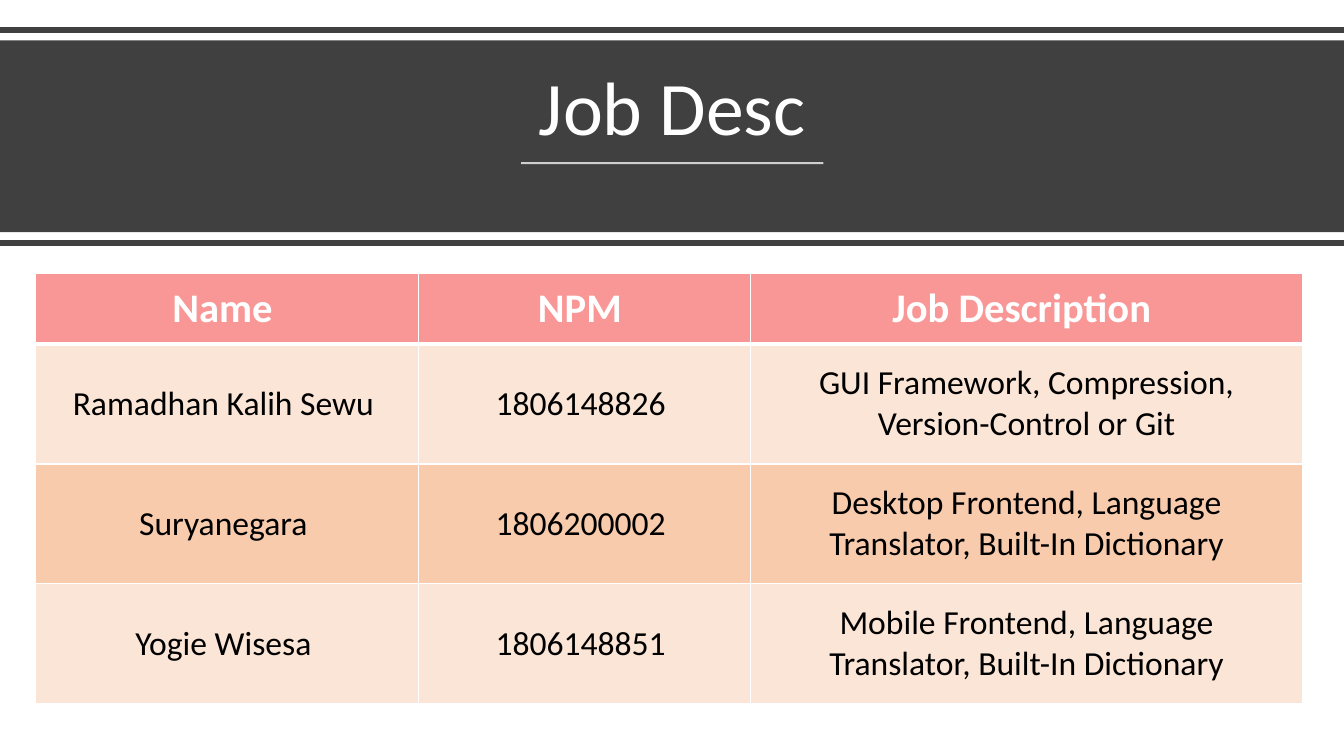
from lxml import etree
from pptx import Presentation
from pptx.dml.color import RGBColor
from pptx.enum.shapes import MSO_CONNECTOR, MSO_SHAPE
from pptx.enum.text import MSO_ANCHOR, MSO_AUTO_SIZE, PP_ALIGN
from pptx.oxml.ns import qn
from pptx.util import Cm, Pt

STRAIGHT = MSO_CONNECTOR.STRAIGHT
RECTANGLE = MSO_SHAPE.RECTANGLE
MIDDLE, BOTTOM = MSO_ANCHOR.MIDDLE, MSO_ANCHOR.BOTTOM
CENTER = PP_ALIGN.CENTER
NO_AUTOFIT = MSO_AUTO_SIZE.NONE
TITLE_ONLY = 5

WIDTH, HEIGHT = 33.87, 19.05
FONT = "Calibri"
WHITE, BLACK, CHARCOAL = "FFFFFF", "000000", "404040"
HEADER_FILL = "F99796"
BAND_FILLS = ("FBE5D6", "F8CBAD")

COLUMN_WIDTHS = (9.65, 8.36, 13.92)
HEADER_HEIGHT, MEMBER_HEIGHT = 1.78, 3.02
JOBS = (
    ("Name ", "NPM ", "Job Description "),
    ("Ramadhan Kalih Sewu ", "1806148826 ",
     "GUI Framework, Compression, Version-Control or Git"),
    ("Suryanegara ", "1806200002 ",
     "Desktop Frontend, Language Translator, Built-In Dictionary"),
    ("Yogie Wisesa ", "1806148851 ",
     "Mobile Frontend, Language Translator, Built-In Dictionary"),
)


def color(value):
    return RGBColor.from_string(value)


class JobSlide:
    def __init__(self, presentation):
        layout = presentation.slide_layouts[TITLE_ONLY]
        self.slide = presentation.slides.add_slide(layout)
        self.shapes = self.slide.shapes

    def set_text(self, frame, text, size, text_color, bold=False):
        frame.text = text
        paragraph = frame.paragraphs[0]
        paragraph.alignment = CENTER
        font = paragraph.runs[0].font
        font.name, font.size, font.bold = FONT, Pt(size), bold
        font.color.rgb = color(text_color)
        return paragraph

    def rule(self, left, right, top, line_color, width, opacity=100):
        rule = self.shapes.add_connector(
            STRAIGHT, Cm(left), Cm(top), Cm(right), Cm(top))
        rule.line.color.rgb = color(line_color)
        rule.line.width = Pt(width)
        properties = rule._element.spPr
        if opacity < 100:
            tint = properties.find(".//" + qn("a:srgbClr"))
            etree.SubElement(tint, qn("a:alpha"), val=str(opacity * 1000))
        etree.SubElement(properties, qn("a:effectLst"))

    def band(self, top, height, fill):
        band = self.shapes.add_shape(
            RECTANGLE, 0, Cm(top), Cm(WIDTH), Cm(height))
        band.shadow.inherit = False
        band.fill.solid()
        band.fill.fore_color.rgb = color(fill)
        band.line.fill.background()

    def title(self, text, left, top, width, height):
        title = self.shapes.title
        title.left, title.top = Cm(left), Cm(top)
        title.width, title.height = Cm(width), Cm(height)
        frame = title.text_frame
        frame.auto_size = NO_AUTOFIT
        frame.word_wrap = True
        frame.vertical_anchor = BOTTOM
        self.set_text(frame, text, 54, WHITE).line_spacing = 0.9
        self.shapes._spTree.append(title._element)

    def borders(self, cell, bottom):
        properties = cell._tc.get_or_add_tcPr()
        sides = (("a:lnL", 1), ("a:lnR", 1), ("a:lnT", 1), ("a:lnB", bottom))
        for position, (side, width) in enumerate(sides):
            border = etree.Element(qn(side), w=str(Pt(width)))
            fill = etree.SubElement(border, qn("a:solidFill"))
            etree.SubElement(fill, qn("a:srgbClr"), val=WHITE)
            properties.insert(position, border)

    def cell(self, cell, text, fill, size, text_color, is_header):
        cell.fill.solid()
        cell.fill.fore_color.rgb = color(fill)
        cell.vertical_anchor = MIDDLE
        cell.margin_left = cell.margin_right = Cm(0.38)
        cell.margin_top = cell.margin_bottom = Cm(0.19)
        self.set_text(cell.text_frame, text, size, text_color, is_header)
        self.borders(cell, 3 if is_header else 1)

    def table(self, rows, left, top):
        heights = [HEADER_HEIGHT] + [MEMBER_HEIGHT] * (len(rows) - 1)
        table = self.shapes.add_table(
            len(rows), len(COLUMN_WIDTHS), Cm(left), Cm(top),
            Cm(sum(COLUMN_WIDTHS)), Cm(sum(heights))).table
        for column, width in zip(table.columns, COLUMN_WIDTHS):
            column.width = Cm(width)
        for index, (texts, height) in enumerate(zip(rows, heights)):
            table.rows[index].height = Cm(height)
            is_header = index == 0
            if is_header:
                style = (HEADER_FILL, 29, WHITE, True)
            else:
                style = (BAND_FILLS[(index - 1) % 2], 24, BLACK, False)
            for position, text in enumerate(texts):
                self.cell(table.cell(index, position), text, *style)


def main():
    presentation = Presentation()
    presentation.slide_width = Cm(WIDTH)
    presentation.slide_height = Cm(HEIGHT)
    job_slide = JobSlide(presentation)
    job_slide.rule(0, WIDTH, 0.76, CHARCOAL, 4)
    job_slide.band(1.02, 4.83, CHARCOAL)
    job_slide.title("Job Desc", 1.47, 1.37, 30.94, 2.59)
    job_slide.rule(13.13, 20.75, 4.11, WHITE, 1.5, opacity=75)
    job_slide.rule(0, WIDTH, 6.12, CHARCOAL, 4)
    job_slide.table(JOBS, 0.9, 6.89)
    presentation.save("out.pptx")


if __name__ == "__main__":
    main()
